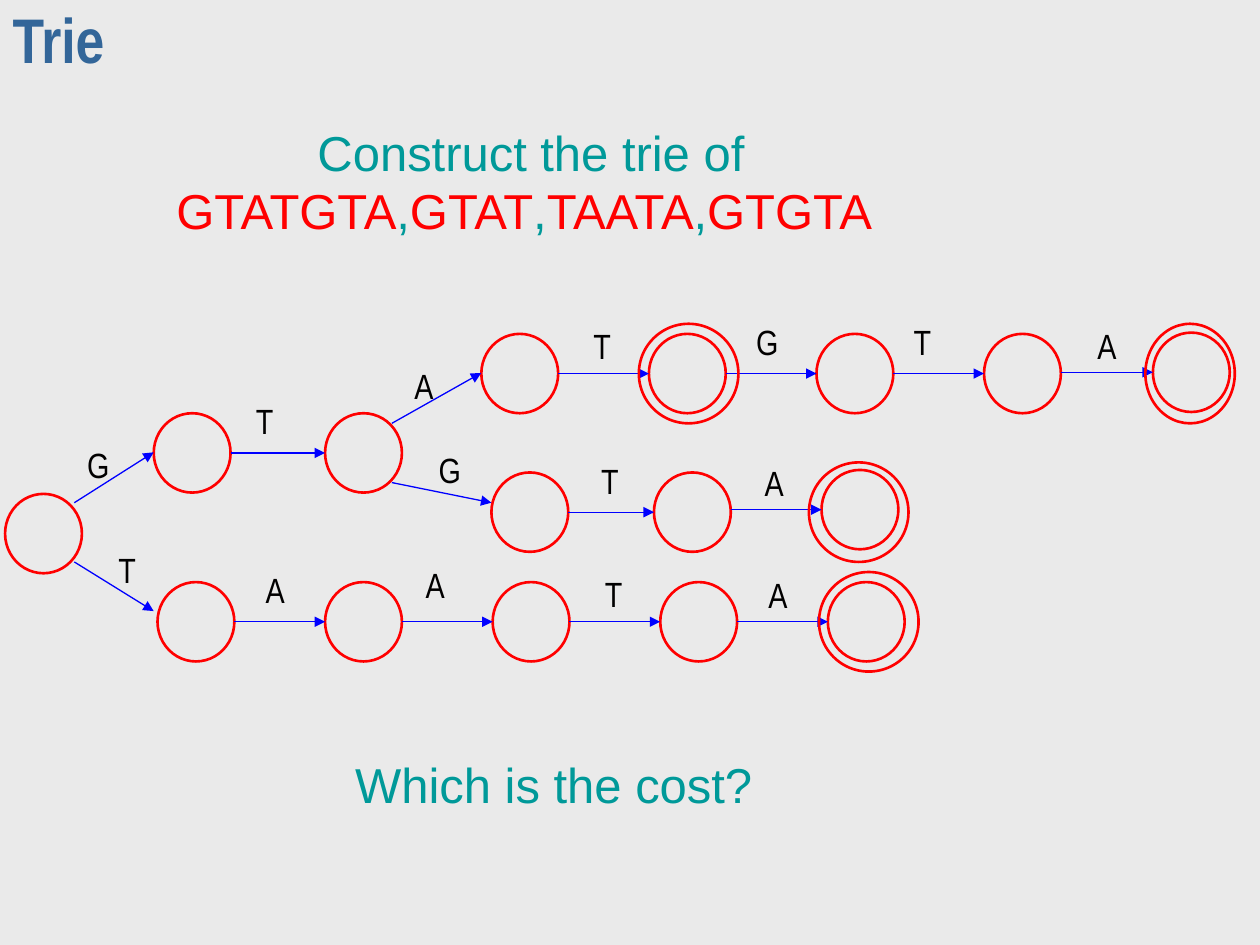
import pptx
import pptx.util
import pptx.dml.color
import pptx.enum.shapes
import pptx.enum.text
import pptx.oxml
import pptx.oxml.ns
from pptx.util import Inches, Pt

COLORS = {"background": "EAEAEA", "title": "336699", "prompt": "009999",
          "word": "FF0000", "node": "FF0000", "edge": "0000FF", "letter": "010000"}

WORDS = ["GTATGTA", "GTAT", "TAATA", "GTGTA"]
NODE_WIDTH, NODE_HEIGHT = 0.61, 0.63
LETTER_WIDTH = {"A": 0.35, "G": 0.38, "T": 0.34}
LETTER_HEIGHT = 0.44

# Chains of states (left, top); neighbours in a chain are joined by an arrow
CHAINS = [
    [(0.04, 3.92)],
    [(1.22, 3.28), (2.58, 3.28)],
    [(3.82, 2.65), (5.15, 2.65), (6.48, 2.65), (7.81, 2.65), (9.15, 2.64)],
    [(3.9, 3.75), (5.19, 3.75), (6.52, 3.73)],
    [(1.25, 4.62), (2.58, 4.62), (3.91, 4.62), (5.24, 4.62), (6.57, 4.62)],
]
# Arrows that lead from a branching state to the start of a chain
BRANCHES = [
    ((0.59, 3.99), (1.22, 3.59)), ((0.59, 4.46), (1.22, 4.85)),
    ((3.11, 3.36), (3.82, 2.96)), ((3.11, 3.83), (3.9, 3.99)),
]
# Outer rings of the accepting states: left, top, width, height
RINGS = [(5.07, 2.57, 0.79, 0.79), (9.09, 2.57, 0.71, 0.79),
         (6.42, 3.67, 0.79, 0.79), (6.5, 4.54, 0.79, 0.79)]
# Edge letters with left and top
LETTERS = [
    ("G", 0.59, 3.47), ("T", 1.93, 3.12), ("A", 3.19, 2.84), ("T", 4.61, 2.52),
    ("G", 5.9, 2.49), ("T", 7.15, 2.49), ("A", 8.61, 2.52),
    ("G", 3.38, 3.51), ("T", 4.67, 3.59), ("A", 5.97, 3.61),
    ("T", 0.84, 4.3), ("A", 2.01, 4.46), ("A", 3.28, 4.42), ("T", 4.7, 4.49),
    ("A", 6, 4.5),
]


def rgb(name):
    return pptx.dml.color.RGBColor.from_string(COLORS[name])


def add_text(slide, area, runs, size, font, wrap=True):
    box = slide.shapes.add_textbox(*map(Inches, area))
    frame = box.text_frame
    frame.word_wrap = wrap
    para = frame.paragraphs[0]
    para.alignment = pptx.enum.text.PP_ALIGN.CENTER
    para.font.size, para.font.name = Pt(size), font
    for text, color in runs:
        span = para.add_run()
        span.text = text
        span.font.color.rgb = rgb(color)
    return frame


def add_circle(slide, left, top, width=NODE_WIDTH, height=NODE_HEIGHT):
    circle = slide.shapes.add_shape(pptx.enum.shapes.MSO_SHAPE.OVAL,
                                    *map(Inches, (left, top, width, height)))
    circle.shadow.inherit = False
    circle.fill.background()
    circle.line.color.rgb = rgb("node")
    circle.line.width = Pt(1.5)


def add_arrow(slide, start, end):
    arrow = slide.shapes.add_connector(pptx.enum.shapes.MSO_CONNECTOR.STRAIGHT,
                                       *map(Inches, start + end))
    arrow.line.color.rgb = rgb("edge")
    arrow.line.width = Pt(0.75)
    line = arrow.line._get_or_add_ln()
    namespace = pptx.oxml.ns.nsdecls("a")
    line.append(pptx.oxml.parse_xml(f'<a:tailEnd {namespace} type="triangle"/>'))
    line.getparent().append(pptx.oxml.parse_xml(f"<a:effectLst {namespace}/>"))


def main():
    deck = pptx.Presentation()
    deck.slide_width, deck.slide_height = Inches(10), Inches(7.5)
    slide = deck.slides.add_slide(deck.slide_layouts[5])
    slide.background.fill.solid()
    slide.background.fill.fore_color.rgb = rgb("background")

    # Title
    title = slide.shapes.title
    title.left, title.top = Inches(0), Inches(0)
    title.width, title.height = Inches(10), Inches(0.75)
    title.text_frame.text = "Trie"
    title.text_frame.auto_size = pptx.enum.text.MSO_AUTO_SIZE.NONE
    title.text_frame.vertical_anchor = pptx.enum.text.MSO_ANCHOR.MIDDLE
    para = title.text_frame.paragraphs[0]
    para.alignment = pptx.enum.text.PP_ALIGN.LEFT
    para.line_spacing = 0.7
    para.font.size, para.font.name, para.font.bold = Pt(36), "Arial Narrow", True
    para.font.color.rgb = rgb("title")

    # Task and question
    task = [(" Construct the trie of ", "prompt")]
    for index, word in enumerate(WORDS):
        if index:
            task.append((",", "prompt"))
        task.append((word, "word"))
    add_text(slide, (0.25, 0.92, 7.82, 1.04), task, 28, "Arial")
    add_text(slide, (0.43, 5.94, 7.82, 0.57),
             [(" Which is the cost?", "prompt")], 28, "Arial")

    # States and the arrows along each chain
    for chain in CHAINS:
        for left, top in chain:
            add_circle(slide, left, top)
        for (left, _), (next_left, next_top) in zip(chain, chain[1:]):
            middle = next_top + NODE_HEIGHT / 2
            add_arrow(slide, (left + NODE_WIDTH, middle), (next_left, middle))
    for ring in RINGS:
        add_circle(slide, *ring)
    for start, end in BRANCHES:
        add_arrow(slide, start, end)

    # Letters on the edges
    for letter, left, top in LETTERS:
        area = (left, top, LETTER_WIDTH[letter], LETTER_HEIGHT)
        frame = add_text(slide, area, [(letter, "letter")], 20, "Arial Narrow", wrap=False)
        frame.vertical_anchor = pptx.enum.text.MSO_ANCHOR.MIDDLE

    deck.save("out.pptx")


if __name__ == "__main__":
    main()
